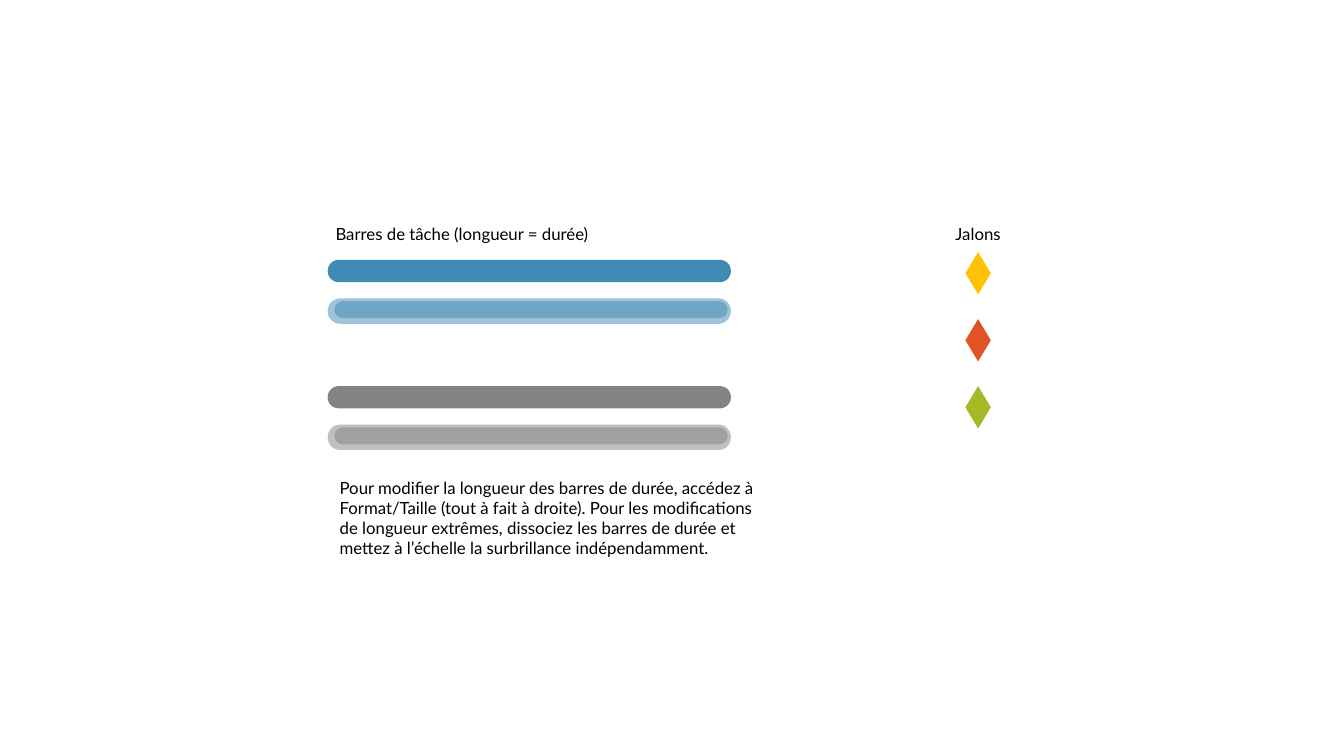
import pptx
import pptx.util
import pptx.dml.color
import pptx.enum.shapes
import pptx.enum.text
import pptx.oxml.ns
import lxml.etree

Cm = pptx.util.Cm
RGB = pptx.dml.color.RGBColor
KIND = pptx.enum.shapes.MSO_SHAPE
ALIGN = pptx.enum.text.PP_ALIGN

BLUE = RGB(0x41, 0x8A, 0xB3)
GRAY = RGB(0x83, 0x83, 0x83)
GOLD = RGB(0xFE, 0xC3, 0x06)
RED = RGB(0xDF, 0x53, 0x27)
GREEN = RGB(0xA6, 0xB7, 0x27)
BLACK = RGB(0, 0, 0)

deck = pptx.Presentation()
deck.slide_width = Cm(33.87)
deck.slide_height = Cm(19.05)
slide = deck.slides.add_slide(deck.slide_layouts[6])


def add_mark(kind, left, top, width, height, color):
    mark = slide.shapes.add_shape(kind, Cm(left), Cm(top), Cm(width), Cm(height))
    mark.shadow.inherit = False
    mark.fill.solid()
    mark.fill.fore_color.rgb = color
    mark.line.fill.background()
    return mark


# Task bars: solid pair, then half-transparent pair (left, drop, width, height, alpha)
parts = [
    (8.26, 0, 10.16, 0.56, 100),
    (8.38, 0.08, 9.93, 0.43, 100),
    (8.26, 0.97, 10.16, 0.64, 50),
    (8.43, 1.04, 9.91, 0.43, 50),
]
for color, top in [(BLUE, 6.55), (GRAY, 9.73)]:
    for left, drop, width, height, alpha in parts:
        bar = add_mark(KIND.ROUNDED_RECTANGLE, left, top + drop, width, height, color)
        bar.adjustments[0] = 0.487
        if alpha < 100:
            tint = bar.fill._xPr.find(".//" + pptx.oxml.ns.qn("a:srgbClr"))
            node = lxml.etree.SubElement(tint, pptx.oxml.ns.qn("a:alpha"))
            node.set("val", str(alpha * 1000))

# Milestones
for row, color in enumerate([GOLD, RED, GREEN]):
    add_mark(KIND.FLOWCHART_DECISION, 24.33, 6.35 + 1.69 * row, 0.64, 1.07, color)

# Labels and instructions
labels = [
    ("Barres de tâche (longueur = durée)", 8.05, 5.51, 7.19, 0.76, ALIGN.CENTER),
    ("Jalons", 22.35, 5.51, 4.6, 0.76, ALIGN.CENTER),
    ("Pour modifier la longueur des barres de durée, accédez à Format/Taille "
     "(tout à fait à droite). Pour les modifications de longueur extrêmes, "
     "dissociez les barres de durée et mettez à l’échelle la surbrillance "
     "indépendamment.", 8.31, 11.91, 11.23, 2.31, ALIGN.LEFT),
]
for text, left, top, width, height, align in labels:
    box = slide.shapes.add_textbox(Cm(left), Cm(top), Cm(width), Cm(height))
    frame = box.text_frame
    frame.word_wrap = True
    frame.text = text
    line = frame.paragraphs[0]
    line.alignment = align
    font = line.runs[0].font
    font.name = "Lato"
    font.size = pptx.util.Pt(12)
    font.color.rgb = BLACK

deck.save("out.pptx")
